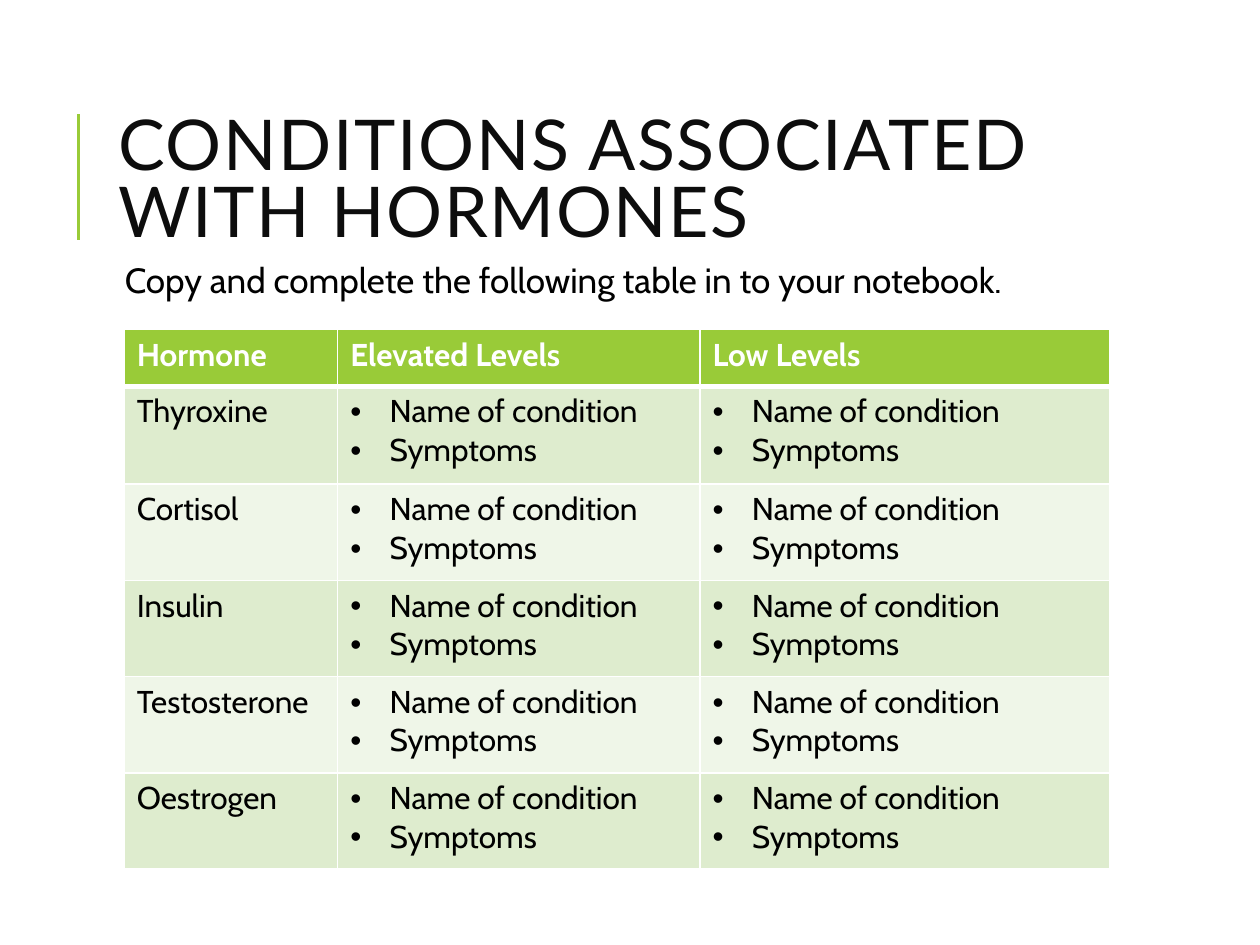
from lxml.etree import SubElement
from pptx import Presentation
from pptx.dml.color import RGBColor
from pptx.enum.shapes import MSO_CONNECTOR
from pptx.enum.text import MSO_ANCHOR, MSO_AUTO_SIZE, PP_ALIGN
from pptx.oxml.ns import qn
from pptx.util import Pt

GREEN, WHITE, BLACK = "99CB38", "FFFFFF", "000000"
BANDS = ["DEECCE", "EFF6E8"]
HORMONES = ["Thyroxine", "Cortisol", "Insulin", "Testosterone", "Oestrogen"]
PROMPTS = ["Name of condition", "Symptoms"]


def color(value):
    return RGBColor.from_string(value)


def write(paragraph, text, font_color, **font_values):
    """Add one run of text with the given font values."""
    run = paragraph.add_run()
    run.text = text
    run.font.color.rgb = color(font_color)
    for name, value in font_values.items():
        setattr(run.font, name, value)
    return run


presentation = Presentation()
presentation.slide_width, presentation.slide_height = Pt(720), Pt(540)
slide = presentation.slides.add_slide(presentation.slide_layouts[1])
title, body = slide.placeholders

# Accent line
accent = slide.shapes.add_connector(MSO_CONNECTOR.STRAIGHT, Pt(44.8), Pt(137), Pt(44.8), Pt(65))
accent.line.color.rgb = color(GREEN)
accent.line.width = Pt(1.5)
SubElement(accent._element.spPr, qn("a:effectLst"))

# Title and instruction
boxes = [
    (title, (60.5, 46, 574, 118), {"vertical_anchor": MSO_ANCHOR.MIDDLE},
     {"line_spacing": 0.8}),
    (body, (60.5, 147, 602.6, 350),
     {"vertical_anchor": MSO_ANCHOR.TOP, "margin_left": Pt(3.6), "margin_right": Pt(3.6),
      "margin_top": Pt(3.6), "margin_bottom": Pt(3.6)},
     {"line_spacing": 0.9, "space_before": Pt(12), "space_after": Pt(2)}),
]
for shape, position, frame_values, paragraph_values in boxes:
    shape.left, shape.top, shape.width, shape.height = map(Pt, position)
    frame = shape.text_frame
    paragraph = frame.paragraphs[0]
    frame_values |= {"word_wrap": True, "auto_size": MSO_AUTO_SIZE.NONE}
    paragraph_values |= {"alignment": PP_ALIGN.LEFT}
    for target, values in [(frame, frame_values), (paragraph, paragraph_values)]:
        for name, value in values.items():
            setattr(target, name, value)

heading = write(title.text_frame.paragraphs[0], "CONDITIONS ASSOCIATED WITH HORMONES",
                "0D0D0D", name="Lato", size=Pt(40))
heading._r.get_or_add_rPr().set("spc", "100")

instruction = body.text_frame.paragraphs[0]
write(instruction, "Copy and complete the following table in to your notebook.",
      BLACK, name="Cabin", size=Pt(20))
properties = instruction._p.get_or_add_pPr()
properties.set("marL", str(Pt(7.2)))
properties.set("indent", "0")
SubElement(properties, qn("a:buNone"))

# Hormone table
rows = [[["Hormone"], ["Elevated Levels"], ["Low Levels"]]]
rows += [[[hormone], PROMPTS, PROMPTS] for hormone in HORMONES]
column_widths = [122, 207, 234]
row_heights = [32.4, 56] + [55] * 4
table = slide.shapes.add_table(len(rows), len(column_widths), Pt(71), Pt(188.3),
                               Pt(sum(column_widths)), Pt(sum(row_heights))).table
for column, width in zip(table.columns, column_widths):
    column.width = Pt(width)

for row_index, (row, height) in enumerate(zip(rows, row_heights)):
    table.rows[row_index].height = Pt(height)
    is_header = row_index == 0
    for column_index, lines in enumerate(row):
        cell = table.cell(row_index, column_index)
        for side in "LRTB":
            thick = (row_index, side) in [(0, "B"), (1, "T")]
            border = SubElement(cell._tc.get_or_add_tcPr(), qn(f"a:ln{side}"),
                                w=str(Pt(3 if thick else 1)))
            border_fill = SubElement(border, qn("a:solidFill"))
            SubElement(border_fill, qn("a:srgbClr"), val=WHITE)
        cell.fill.solid()
        cell.fill.fore_color.rgb = color(GREEN if is_header else BANDS[(row_index - 1) % 2])

        frame = cell.text_frame
        for line_index, line in enumerate(lines):
            paragraph = frame.add_paragraph() if line_index else frame.paragraphs[0]
            write(paragraph, line, WHITE if is_header else BLACK,
                  name="Cabin", size=Pt(18), bold=is_header)
            if lines is PROMPTS:
                properties = paragraph._p.get_or_add_pPr()
                properties.set("marL", str(Pt(22.5)))
                properties.set("indent", str(-Pt(22.5)))
                SubElement(properties, qn("a:buFont"), typeface="Arial")
                SubElement(properties, qn("a:buChar"), char="•")

presentation.save("out.pptx")
